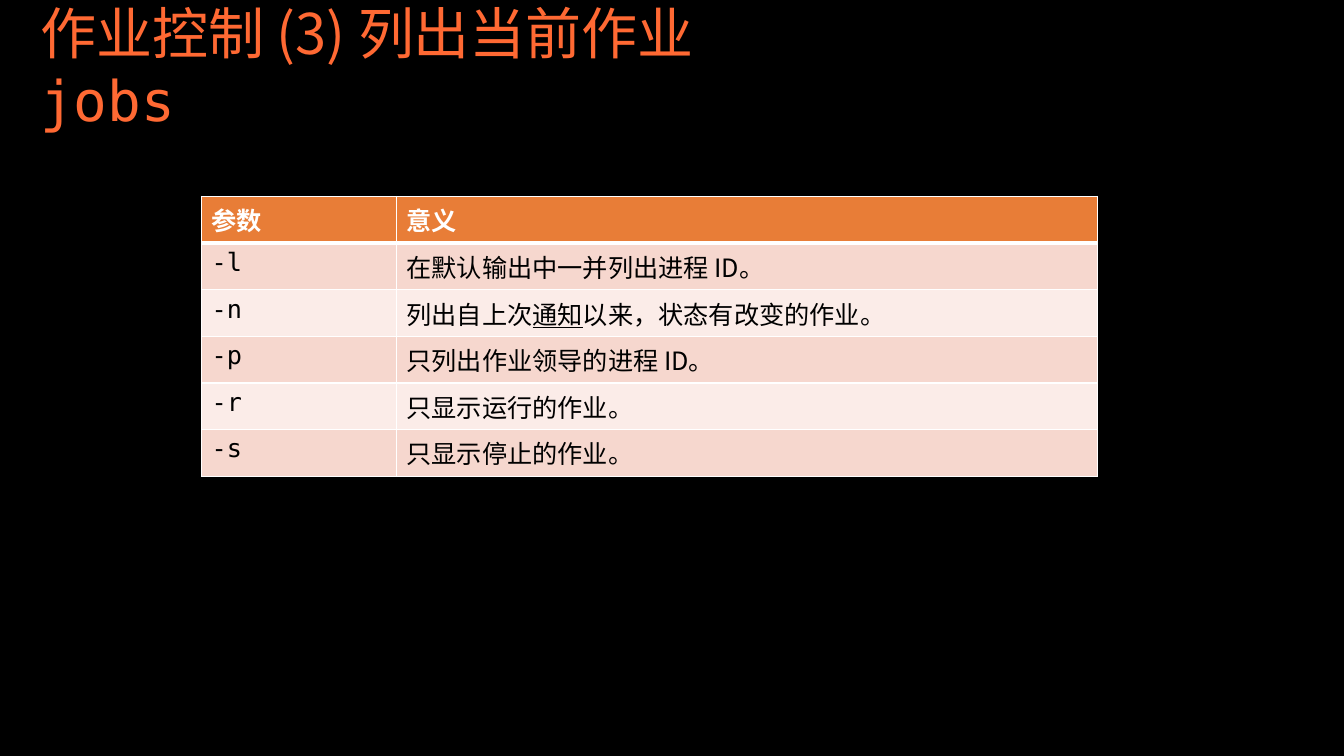
from lxml import etree
from pptx import Presentation
from pptx.dml.color import RGBColor
from pptx.enum.text import MSO_ANCHOR, MSO_AUTO_SIZE, PP_ALIGN
from pptx.oxml.ns import qn
from pptx.util import Pt

MIDDLE = MSO_ANCHOR.MIDDLE
NO_AUTOSIZE = MSO_AUTO_SIZE.NONE
LEFT = PP_ALIGN.LEFT

BLACK = RGBColor(0x00, 0x00, 0x00)
WHITE = RGBColor(0xFF, 0xFF, 0xFF)
TITLE_ORANGE = RGBColor(0xFF, 0x69, 0x33)
HEADER_ORANGE = RGBColor(0xE8, 0x7D, 0x37)
BAND_FILLS = (RGBColor(0xF6, 0xD7, 0xCE), RGBColor(0xFB, 0xEC, 0xE8))

SANS = "Noto Sans CJK SC"
MONO = "DejaVu Sans Mono"

TITLE_BOX = (21.6, 19.4, 578.2, 55.4)
TABLE_BOX = (144, 140.4, 640, 175.2)
OPTION_WIDTH = 139.2

HEADINGS = ("参数", "意义")
# Each meaning is a list of pieces: (text, underlined)
OPTIONS = (
    ("-l", [("在默认输出中一并列出进程 ID。", False)]),
    ("-n", [("列出自上次", False), ("通知", True),
            ("以来，状态有改变的作业。", False)]),
    ("-p", [("只列出作业领导的进程 ID。", False)]),
    ("-r", [("只显示运行的作业。", False)]),
    ("-s", [("只显示停止的作业。", False)]),
)


def add_span(para, text, font=SANS, size=18, color=BLACK, bold=False,
             underline=False):
    span = para.add_run()
    span.text = text
    span.font.name = font
    span.font.size = Pt(size)
    span.font.bold = bold
    span.font.underline = underline
    span.font.color.rgb = color
    # East Asian characters take their own font setting
    east_asian = etree.Element(qn("a:ea"), typeface=font)
    span.font._element.find(qn("a:latin")).addnext(east_asian)


def set_borders(cell, bottom=1):
    properties = cell._tc.get_or_add_tcPr()
    widths = {"lnL": 1, "lnR": 1, "lnT": 1, "lnB": bottom}
    for position, (side, width) in enumerate(widths.items()):
        line = etree.Element(qn("a:" + side), w=str(Pt(width)))
        fill = etree.SubElement(line, qn("a:solidFill"))
        etree.SubElement(fill, qn("a:srgbClr"), val=str(WHITE))
        properties.insert(position, line)


def fill_cell(cell, pieces, fill, bottom=1, **text_format):
    cell.fill.solid()
    cell.fill.fore_color.rgb = fill
    set_borders(cell, bottom)
    para = cell.text_frame.paragraphs[0]
    for text, underline in pieces:
        add_span(para, text, underline=underline, **text_format)


def place_title(page, box):
    title = page.shapes.title
    title.left, title.top, title.width, title.height = map(Pt, box)
    frame = title.text_frame
    frame.word_wrap = True
    frame.auto_size = NO_AUTOSIZE
    frame.vertical_anchor = MIDDLE
    para = frame.paragraphs[0]
    para.alignment = LEFT
    add_span(para, "作业控制 (3) 列出当前作业 ", size=40, color=TITLE_ORANGE)
    add_span(para, "jobs", font=MONO, size=40, color=TITLE_ORANGE)


def place_option_table(page, box):
    left, top, width, height = box
    row_count = len(OPTIONS) + 1
    table = page.shapes.add_table(row_count, len(HEADINGS), Pt(left), Pt(top),
                                  Pt(width), Pt(height)).table
    table.columns[0].width = Pt(OPTION_WIDTH)
    table.columns[1].width = Pt(width - OPTION_WIDTH)
    for row in table.rows:
        row.height = Pt(height / row_count)

    # Header row
    for column, heading in enumerate(HEADINGS):
        fill_cell(table.cell(0, column), [(heading, False)], HEADER_ORANGE,
                  bottom=3, color=WHITE, bold=True)

    # Option rows in alternating bands
    for index, (option, meaning) in enumerate(OPTIONS):
        band = BAND_FILLS[index % 2]
        fill_cell(table.cell(index + 1, 0), [(option, False)], band, font=MONO)
        fill_cell(table.cell(index + 1, 1), meaning, band)


def main():
    deck = Presentation()
    deck.slide_width, deck.slide_height = Pt(960), Pt(540)
    page = deck.slides.add_slide(deck.slide_layouts[5])
    page.background.fill.solid()
    page.background.fill.fore_color.rgb = BLACK
    place_title(page, TITLE_BOX)
    place_option_table(page, TABLE_BOX)
    deck.save("out.pptx")


if __name__ == "__main__":
    main()
